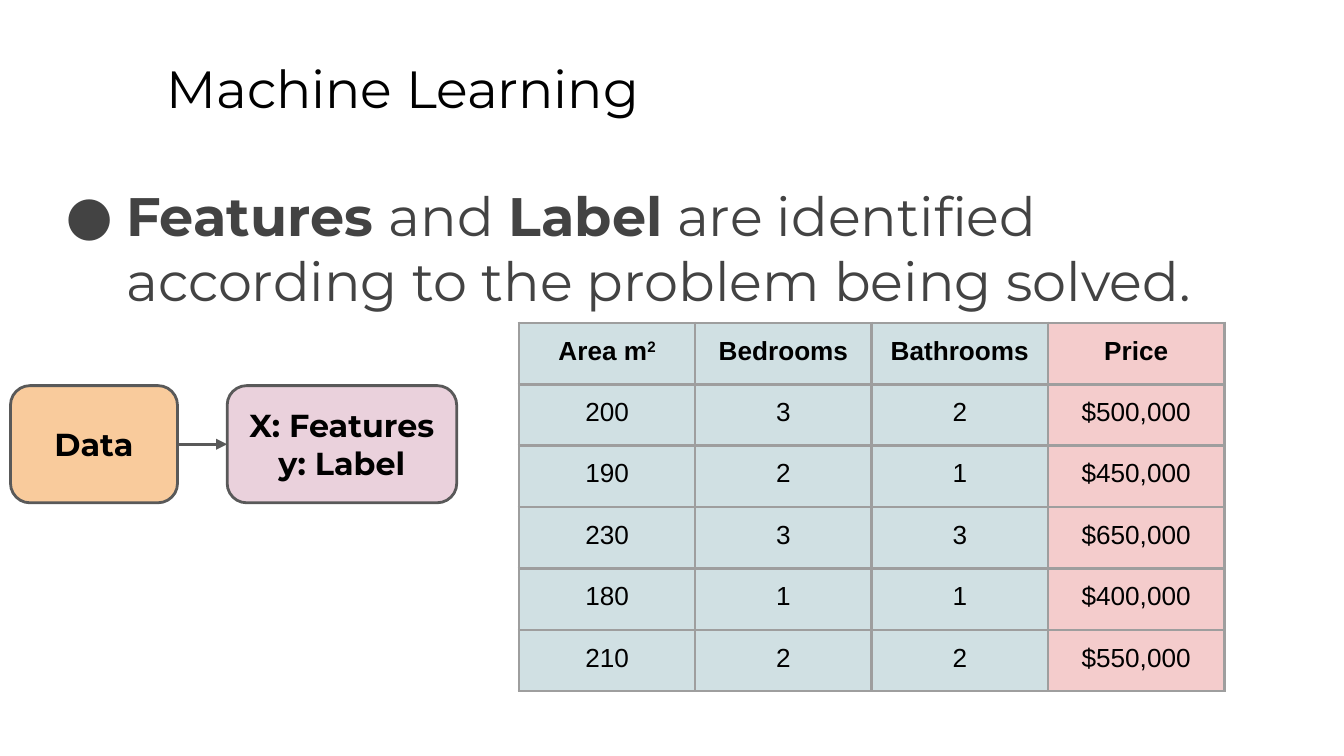
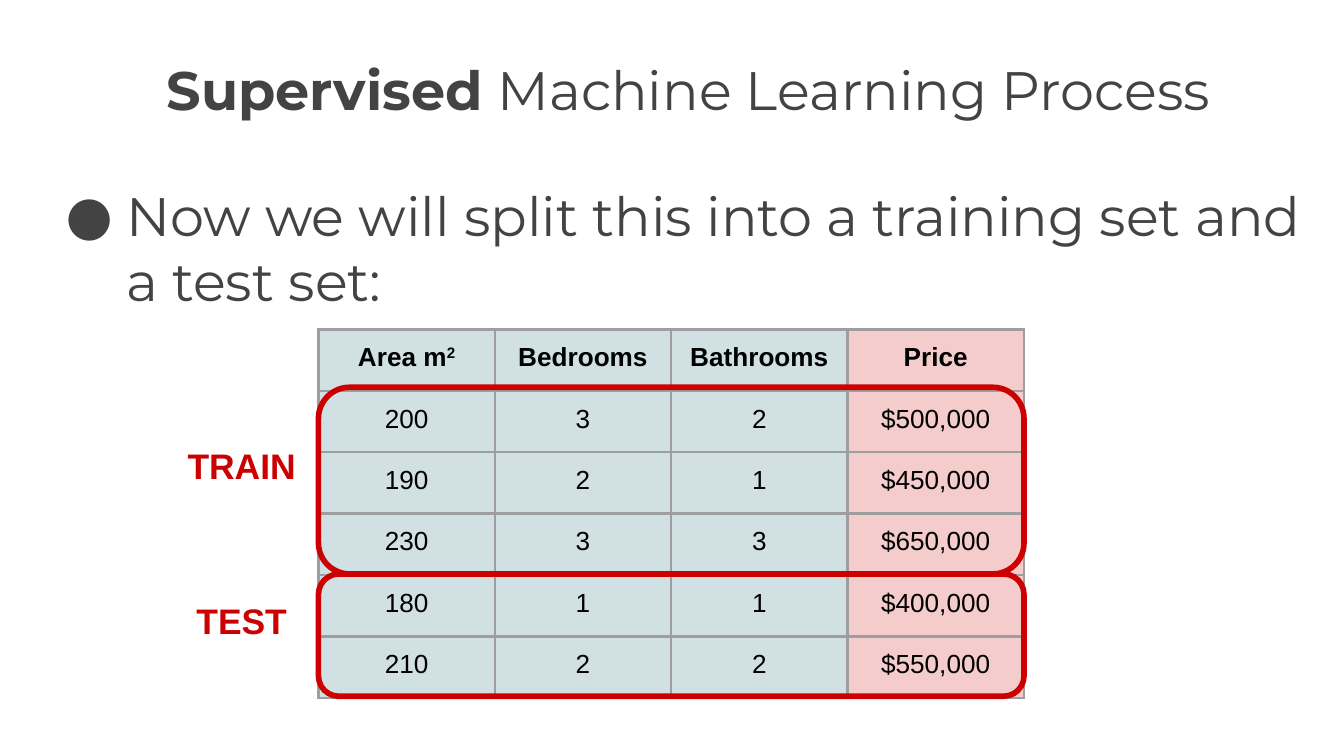
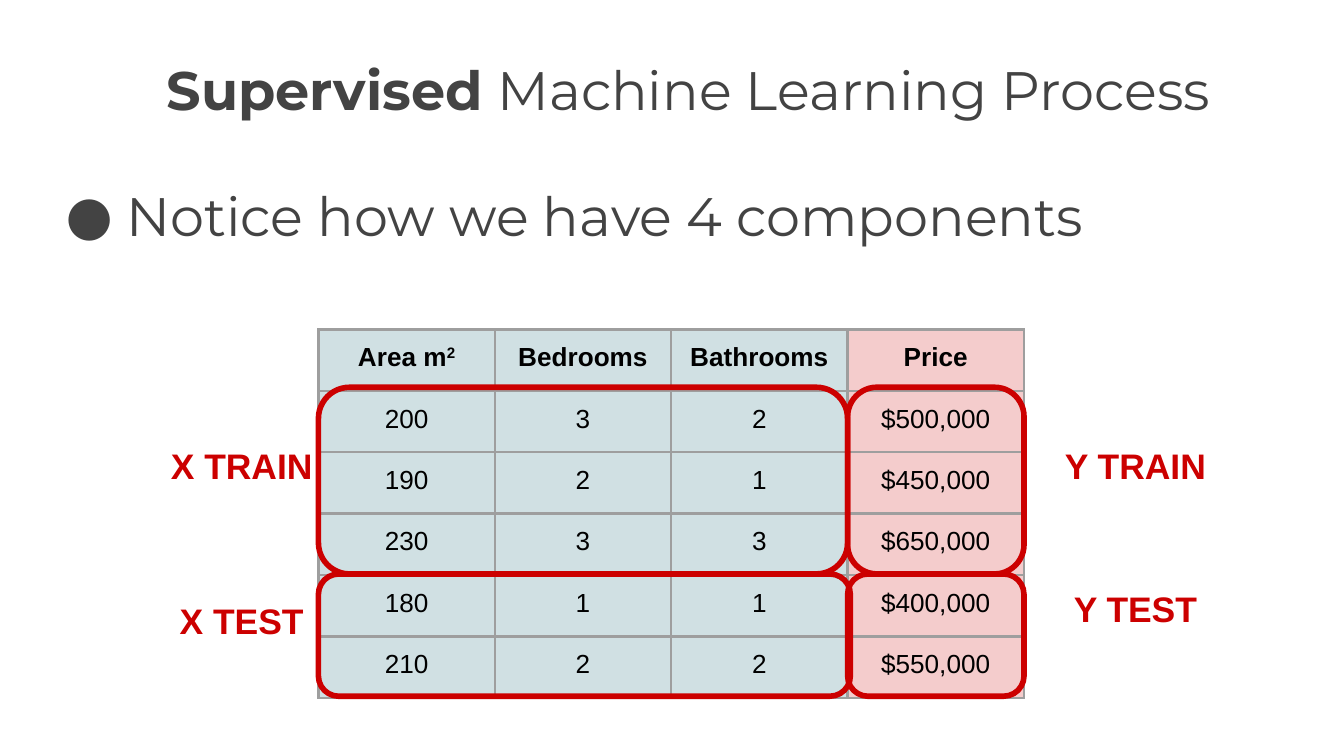
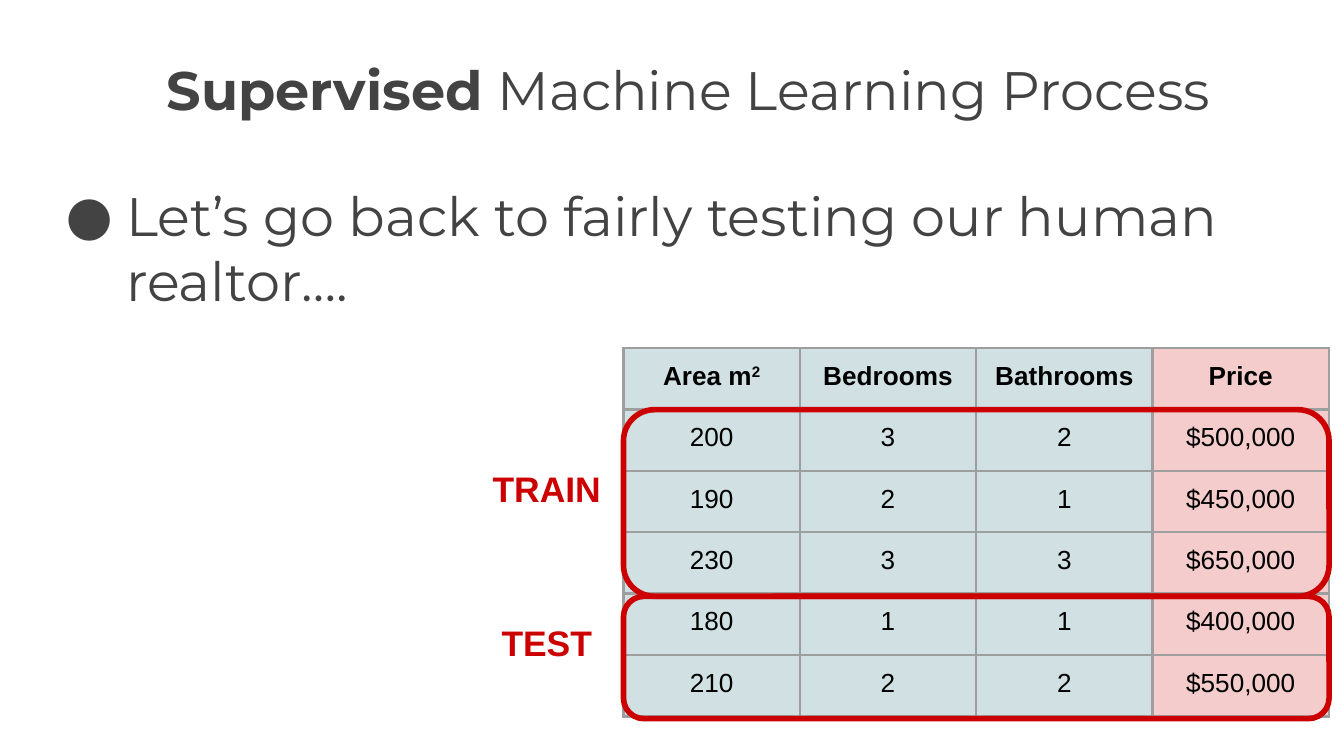
"""Build four slides on splitting housing data for supervised machine learning."""
from lxml import etree
from pptx import Presentation
from pptx.dml.color import RGBColor
from pptx.enum.shapes import MSO_CONNECTOR, MSO_SHAPE
from pptx.enum.text import MSO_ANCHOR, MSO_AUTO_SIZE, PP_ALIGN
from pptx.oxml.ns import qn
from pptx.util import Pt

ROUNDED = MSO_SHAPE.ROUNDED_RECTANGLE
STRAIGHT = MSO_CONNECTOR.STRAIGHT
LEFT, CENTER = PP_ALIGN.LEFT, PP_ALIGN.CENTER
TOP, MIDDLE = MSO_ANCHOR.TOP, MSO_ANCHOR.MIDDLE
NO_FIT = MSO_AUTO_SIZE.NONE

HEADING_FONT, DATA_FONT = "Montserrat", "Arial"
BLACK, DARK, OUTLINE, RED = "000000", "434343", "595959", "CC0000"
GRID, FEATURE_FILL, LABEL_FILL = "9E9E9E", "D0E0E3", "F4CCCC"
DATA_FILL, SPLIT_FILL = "F9CB9C", "EAD1DC"
INSET = Pt(7.2)
COLUMN, ROW = 94.5, 32.9
color = RGBColor.from_string

HOUSES = [
    ["Area m", "Bedrooms", "Bathrooms", "Price"],
    ["200", "3", "2", "$500,000"],
    ["190", "2", "1", "$450,000"],
    ["230", "3", "3", "$650,000"],
    ["180", "1", "1", "$400,000"],
    ["210", "2", "2", "$550,000"],
]
SUPERVISED = [("Supervised", True), (" Machine Learning Process", False)]

TRAIN_TOP, TRAIN_HEIGHT = 0, 100
TEST_TOP, TEST_HEIGHT = 100, 65.5
LEFT_LABEL, RIGHT_LABEL = -93.6, 385.2
WHOLE_SPLIT = [
    ("TRAIN", 0, 378, TRAIN_TOP, TRAIN_HEIGHT, LEFT_LABEL, 23.3),
    ("TEST", 0, 378, TEST_TOP, TEST_HEIGHT, LEFT_LABEL, 106.2),
]
FOUR_PARTS = [
    ("X TRAIN", 0, 283.5, TRAIN_TOP, TRAIN_HEIGHT, LEFT_LABEL, 23.3),
    ("X TEST", 0, 285, TEST_TOP, TEST_HEIGHT, LEFT_LABEL, 106.2),
    ("Y TRAIN", 283.5, COLUMN, TRAIN_TOP, TRAIN_HEIGHT, RIGHT_LABEL, 23.3),
    ("Y TEST", 283.5, COLUMN, TEST_TOP, TEST_HEIGHT, RIGHT_LABEL, 100),
]

# title spans, title size, title color, bullet spans, table left, table top, marks top, marks
SLIDES = [
    ([("Machine Learning", False)], 28, BLACK,
     [("Features ", True), ("and ", False), ("Label", True),
      (" are identified according to the problem being solved.", False)],
     278, 173, 0, []),
    (SUPERVISED, 29, DARK,
     [("Now we will split this into a training set and a test set:", False)],
     170.6, 176.5, 207.5, WHOLE_SPLIT),
    (SUPERVISED, 29, DARK,
     [("Notice how we have 4 components", False)],
     170.6, 176.5, 207.5, FOUR_PARTS),
    (SUPERVISED, 29, DARK,
     [("Let’s go back to fairly testing our human realtor….", False)],
     334, 186.5, 219.5, WHOLE_SPLIT),
]


def write(frame, paragraphs, size, font, ink, align=CENTER, anchor=TOP):
    """Fill a text frame with paragraphs given as lists of (text, bold)."""
    frame.word_wrap = True
    frame.auto_size = NO_FIT
    frame.vertical_anchor = anchor
    frame.margin_left = frame.margin_right = INSET
    frame.margin_top = frame.margin_bottom = INSET
    for number, spans in enumerate(paragraphs):
        para = frame.add_paragraph() if number else frame.paragraphs[0]
        para.alignment = align
        for text, bold in spans:
            span = para.add_run()
            span.text = text
            span.font.size = Pt(size)
            span.font.name = font
            span.font.bold = bold
            span.font.color.rgb = color(ink)


def add_rounded(slide, left, top, width, height, line, weight, fill=None):
    """Add a rounded rectangle, hollow unless a fill is given."""
    box = slide.shapes.add_shape(ROUNDED, Pt(left), Pt(top), Pt(width), Pt(height))
    box.shadow.inherit = False
    box.line.color.rgb = color(line)
    box.line.width = Pt(weight)
    if fill:
        box.fill.solid()
        box.fill.fore_color.rgb = color(fill)
    else:
        box.fill.background()
    return box


deck = Presentation()
deck.slide_width, deck.slide_height = Pt(720), Pt(405)
title_only = deck.slide_layouts[5]

for title_spans, title_size, title_ink, bullet_spans, left, top, marks_top, marks in SLIDES:
    slide = deck.slides.add_slide(title_only)
    title = slide.shapes.title
    title.left, title.top, title.width, title.height = Pt(82), Pt(23), Pt(613.5), Pt(45.4)
    write(title.text_frame, [title_spans], title_size, HEADING_FONT, title_ink, LEFT)
    title.text_frame.paragraphs[0].space_after = Pt(16)

    body = slide.shapes.add_textbox(Pt(24.5), Pt(90.7), Pt(684), Pt(269.3))
    write(body.text_frame, [bullet_spans], 29, HEADING_FONT, DARK, LEFT)
    bullet = body.text_frame.paragraphs[0]._p.get_or_add_pPr()
    bullet.set("marL", str(Pt(36)))
    bullet.set("indent", str(-Pt(32.4)))
    bullet_color = etree.SubElement(bullet, qn("a:buClr"))
    etree.SubElement(bullet_color, qn("a:srgbClr"), val=DARK)
    etree.SubElement(bullet, qn("a:buFont"), typeface=HEADING_FONT)
    etree.SubElement(bullet, qn("a:buChar"), char="●")

    if not marks:
        data = add_rounded(slide, 5.6, 206.6, 89.5, 62.8, OUTLINE, 1.5, DATA_FILL)
        write(data.text_frame, [[("Data", True)]], 17, HEADING_FONT, BLACK, anchor=MIDDLE)
        split = add_rounded(slide, 121.7, 206.6, 123, 62.8, OUTLINE, 1.5, SPLIT_FILL)
        write(split.text_frame, [[("X: Features", True)], [("y: Label", True)]],
              17, HEADING_FONT, BLACK, anchor=MIDDLE)
        arrow = slide.shapes.add_connector(STRAIGHT, Pt(95.1), Pt(238), Pt(121.7), Pt(238))
        arrow.line.color.rgb = color(OUTLINE)
        arrow.line.width = Pt(1.5)
        arrow_format = arrow._element.spPr
        etree.SubElement(arrow_format.find(qn("a:ln")), qn("a:tailEnd"), type="triangle")
        etree.SubElement(arrow_format, qn("a:effectLst"))

    table = slide.shapes.add_table(len(HOUSES), len(HOUSES[0]), Pt(left), Pt(top),
                                   Pt(COLUMN * len(HOUSES[0])), Pt(ROW * len(HOUSES))).table
    table.first_row = table.horz_banding = False
    for column in table.columns:
        column.width = Pt(COLUMN)
    for row_number, house in enumerate(HOUSES):
        table.rows[row_number].height = Pt(ROW)
        for column_number, text in enumerate(house):
            cell = table.cell(row_number, column_number)
            spans = [(text, row_number == 0)]
            if text == "Area m":
                spans.append(("2", True))
            write(cell.text_frame, [spans], 14, DATA_FONT, BLACK)
            for raised in cell.text_frame.paragraphs[0].runs[1:]:
                raised._r.get_or_add_rPr().set("baseline", "30000")
            cell.margin_left = cell.margin_right = INSET
            cell.margin_top = cell.margin_bottom = INSET
            cell_format = cell._tc.get_or_add_tcPr()
            for side in ("a:lnL", "a:lnR", "a:lnT", "a:lnB"):
                border = etree.SubElement(cell_format, qn(side), w=str(Pt(1.5)))
                border_fill = etree.SubElement(border, qn("a:solidFill"))
                etree.SubElement(border_fill, qn("a:srgbClr"), val=GRID)
            cell.fill.solid()
            is_price = column_number == len(house) - 1
            cell.fill.fore_color.rgb = color(LABEL_FILL if is_price else FEATURE_FILL)

    for name, mark_left, width, mark_top, height, label_left, label_top in marks:
        add_rounded(slide, left + mark_left, marks_top + mark_top, width, height, RED, 3)
        label = slide.shapes.add_textbox(Pt(left + label_left), Pt(marks_top + label_top),
                                         Pt(105), Pt(53.3))
        write(label.text_frame, [[(name, True)]], 19, DATA_FONT, RED)

deck.save("out.pptx")
